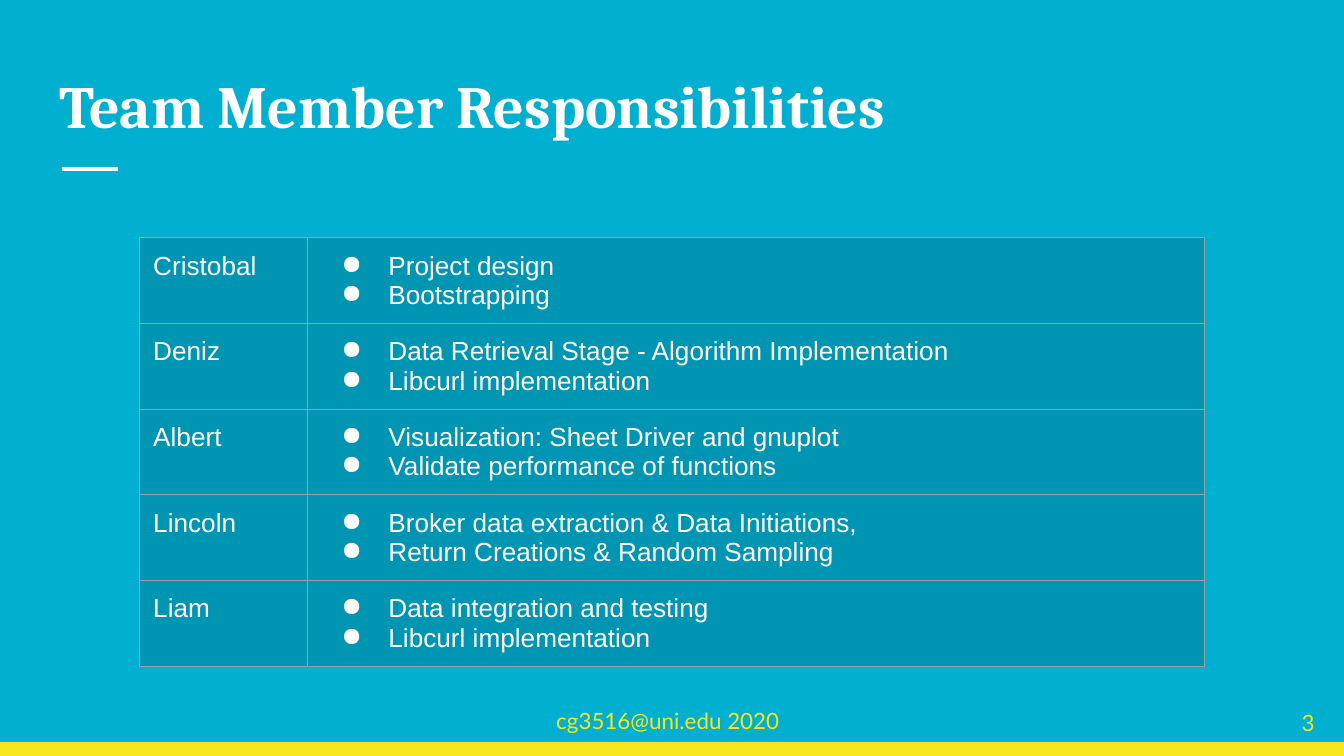
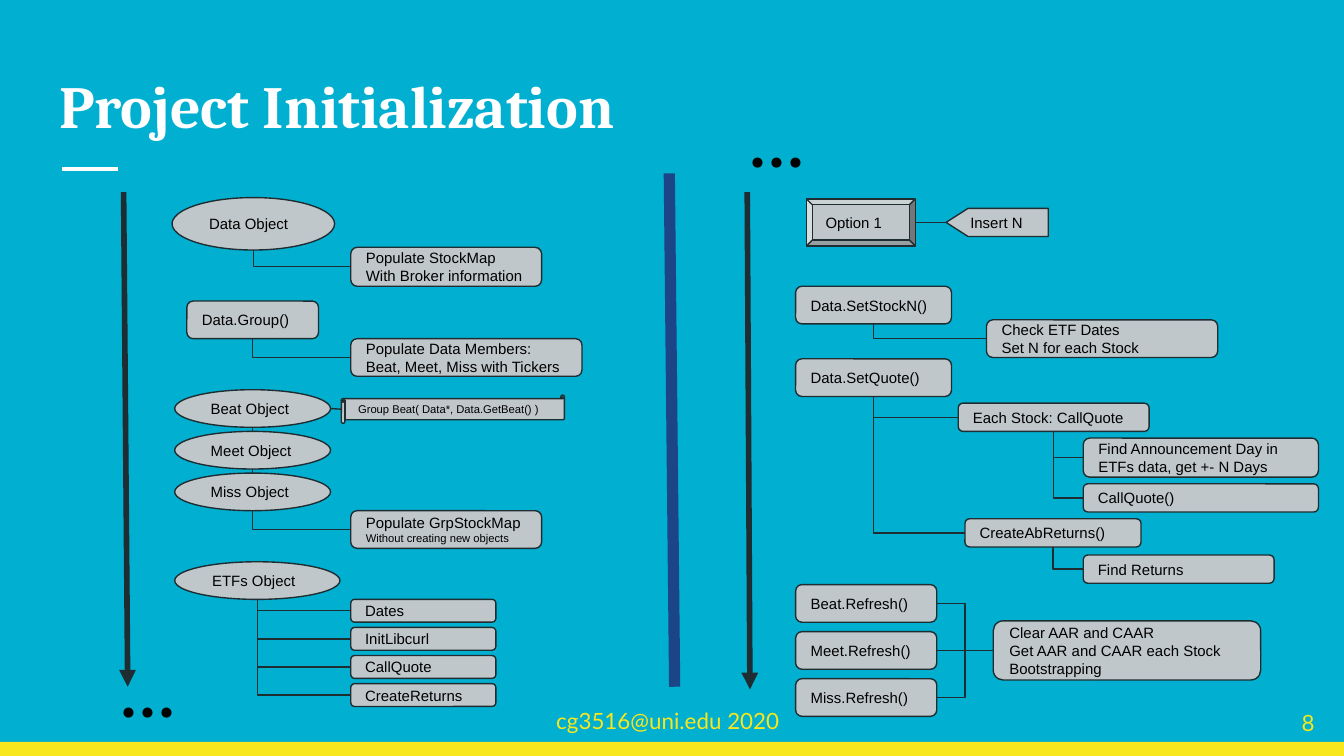
from lxml import etree
from pptx import Presentation
from pptx import util as u
from pptx.dml.color import RGBColor
from pptx.enum import shapes, text
from pptx.oxml.ns import qn

SKY, TEAL, YELLOW, WHITE, BLACK = "01AFD1", "0095B2", "F8E71C", "FFFFFF", "000000"
GREY, DARK, NAVY, BORDER = "BFC7CA", "1E2D31", "1C4587", "9E9E9E"
WIDTH, HEIGHT = u.Inches(10), u.Inches(5.625)
COLUMNS, ROWS = 100, 56.25
KIND = shapes.MSO_SHAPE
BOX, OVAL = KIND.ROUNDED_RECTANGLE, KIND.OVAL

TEAM = [
    ("Cristobal", ["Project design", "Bootstrapping"]),
    ("Deniz", ["Data Retrieval Stage - Algorithm Implementation", "Libcurl implementation"]),
    ("Albert", ["Visualization: Sheet Driver and gnuplot", "Validate performance of functions"]),
    ("Lincoln", ["Broker data extraction & Data Initiations,", "Return Creations & Random Sampling"]),
    ("Liam", ["Data integration and testing", "Libcurl implementation"]),
]


def col(n):
    return round(WIDTH * n / COLUMNS)


def row(n):
    return round(HEIGHT * n / ROWS)


def area(x, y, w, h):
    return col(x), row(y), col(w), row(h)


def rgb(value):
    return RGBColor.from_string(value)


def paint(fill, color):
    fill.solid()
    fill.fore_color.rgb = rgb(color)


def sub(parent, tag, **attrs):
    return etree.SubElement(parent, qn(tag), attrs)


def inset(box):
    box.margin_left = box.margin_right = box.margin_top = box.margin_bottom = col(1)


def write(tf, lines, font, sizes, color, bold=False, align=text.PP_ALIGN.LEFT):
    for i, line in enumerate(lines):
        p = tf.paragraphs[0] if i == 0 else tf.add_paragraph()
        p.alignment = align
        r = p.add_run()
        r.text = line
        r.font.name, r.font.bold = font, bold
        r.font.size = u.Pt(sizes[min(i, len(sizes) - 1)])
        r.font.color.rgb = rgb(color)


def frame(sp, anchor):
    tf = sp.text_frame
    tf.word_wrap = True
    tf.auto_size = text.MSO_AUTO_SIZE.NONE
    tf.vertical_anchor = anchor
    inset(tf)
    return tf


def label(s, at, words, size, color, anchor=text.MSO_ANCHOR.TOP, align=text.PP_ALIGN.LEFT):
    sp = s.shapes.add_textbox(*area(*at))
    write(frame(sp, anchor), [words], "Lato", [size], color, align=align)


def line(s, start, end, color=DARK, width=0.75, elbow=False, arrow=False):
    kind = shapes.MSO_CONNECTOR.ELBOW if elbow else shapes.MSO_CONNECTOR.STRAIGHT
    c = s.shapes.add_connector(kind, *start, *end)
    c.line.color.rgb = rgb(color)
    c.line.width = u.Pt(width)
    if arrow:
        sub(c.line._get_or_add_ln(), "a:tailEnd", type="triangle")
    sub(c._element.spPr, "a:effectLst")
    return c


def rule(s, x1, y1, x2, y2, **style):
    line(s, (col(x1), row(y1)), (col(x2), row(y2)), **style)


def node(s, kind, at, *lines, sizes=(8,)):
    sp = s.shapes.add_shape(kind, *area(*at))
    sp.shadow.inherit = False
    paint(sp.fill, GREY)
    sp.line.color.rgb = rgb(DARK)
    sp.line.width = u.Pt(0.75)
    write(frame(sp, text.MSO_ANCHOR.MIDDLE), lines, "Arial", sizes, BLACK)
    return sp


def middle(sp):
    return sp.left + sp.width // 2, sp.top + sp.height // 2


def bottom(sp):
    return middle(sp)[0], sp.top + sp.height


def left(sp):
    return sp.left, middle(sp)[1]


def right(sp):
    return sp.left + sp.width, middle(sp)[1]


def stack(s, kind, x, y, w, h, step, names):
    return [node(s, kind, (x, y + i * step, w, h), name) for i, name in enumerate(names)]


def branch(s, parent, *children):
    for child in children:
        (x1, y1), (x2, y2) = bottom(parent), left(child)
        c = line(s, (x1, y1), (x2, y2), elbow=True)
        dx, dy = x2 - x1, y2 - y1
        c.left, c.top = (x1 + x2 - dy) // 2, (y1 + y2 - dx) // 2
        c.width, c.height = dy, dx
        spPr = c._element.spPr
        spPr.find(qn("a:prstGeom")).set("prst", "bentConnector2")
        xfrm = spPr.find(qn("a:xfrm"))
        xfrm.set("rot", "16200000")
        xfrm.set("flipH", "1")


def new_slide(prs, heading, number):
    s = prs.slides.add_slide(prs.slide_layouts[5])
    band = s.shapes.add_shape(KIND.RECTANGLE, *area(0, 55.2, COLUMNS, ROWS - 55.2))
    band.shadow.inherit = False
    paint(band.fill, YELLOW)
    band.line.fill.background()
    rule(s, 4.6, 12.6, 8.8, 12.6, color=WHITE, width=2.25)
    label(s, (40.4, 51.6, 19.2, 3.2), "cg3516@uni.edu 2020", 12, YELLOW)
    label(s, (94.6, 51.6, 4.2, 4.3), number, 12, YELLOW,
          text.MSO_ANCHOR.MIDDLE, text.PP_ALIGN.RIGHT)
    title = s.shapes.title
    title.left, title.top, title.width, title.height = area(3.4, 4.1, 93.2, 7.1)
    write(frame(title, text.MSO_ANCHOR.TOP), [heading], "Cambria", [32], WHITE, bold=True)
    return s


def bullet(p):
    pPr = p._p.get_or_add_pPr()
    pPr.set("marL", str(col(5)))
    pPr.set("indent", str(-col(3.5)))
    sub(sub(pPr, "a:buClr"), "a:srgbClr", val=WHITE)
    sub(pPr, "a:buChar", char="●")


def fill_cell(cell, lines, bulleted):
    inset(cell)
    write(cell.text_frame, lines, "Arial", [14], WHITE)
    if bulleted:
        for p in cell.text_frame.paragraphs:
            bullet(p)
    tcPr = cell._tc.get_or_add_tcPr()
    for side in "LRTB":
        ln = sub(tcPr, f"a:ln{side}", w=str(u.Pt(0.75)))
        sub(sub(ln, "a:solidFill"), "a:srgbClr", val=BORDER)
    paint(cell.fill, TEAL)


def team_table(s):
    table = s.shapes.add_table(len(TEAM), 2, *area(10.4, 17.7, 79.2, 4.2 * len(TEAM))).table
    table.first_row = table.horz_banding = False
    for column, width in zip(table.columns, (12.5, 66.7)):
        column.width = col(width)
    for i, (member, duties) in enumerate(TEAM):
        fill_cell(table.cell(i, 0), [member], False)
        fill_cell(table.cell(i, 1), duties, True)


def data_flow(s):
    rule(s, 9.2, 14.3, 9.5, 51.1, width=3, arrow=True)
    data = node(s, OVAL, (12.8, 14.7, 12.1, 3.9), "Data Object")
    group = node(s, BOX, (13.9, 22.4, 9.8, 2.8), "Data.Group()")
    stock_map = node(s, BOX, (26.1, 18.4, 14.2, 2.9),
                     "Populate StockMap", "With Broker information")
    members = node(s, BOX, (26.1, 25.2, 17.2, 2.8),
                   "Populate Data Members:", "Beat, Meet, Miss with Tickers")
    beat, meet, miss = stack(s, OVAL, 13, 29, 11.6, 2.8, 3.1,
                             ["Beat Object", "Meet Object", "Miss Object"])
    scroll = node(s, KIND.HORIZONTAL_SCROLL, (25.4, 29.4, 16.6, 2.1),
                  "Group Beat( Data*, Data.GetBeat() )", sizes=(6,))
    group_map = node(s, BOX, (26.1, 38, 14.2, 2.8),
                     "Populate GrpStockMap", "Without creating new objects", sizes=(8, 6))
    etfs = node(s, OVAL, (13, 41.8, 12.3, 2.8), "ETFs Object")
    steps = stack(s, BOX, 26.1, 44.6, 10.8, 1.7, 2.09,
                  ["Dates", "InitLibcurl", "CallQuote", "CreateReturns"])
    for parent, child in ((data, stock_map), (group, members), (miss, group_map)):
        branch(s, parent, child)
    branch(s, etfs, *steps)
    for upper, lower in ((beat, meet), (meet, miss)):
        line(s, bottom(upper), (middle(lower)[0], lower.top))
    line(s, right(beat), left(scroll))
    label(s, (7.9, 46.4, 7.6, 7.5), "...", 43, BLACK)


def option_flow(s):
    rule(s, 55.6, 14.3, 55.8, 51.3, width=3, arrow=True)
    option = node(s, KIND.BEVEL, (60, 14.8, 8.1, 3.5), "Option 1")
    insert = node(s, KIND.PENTAGON, (70.4, 15.5, 7.6, 2.1), "Insert N")
    insert.adjustments[0] = 0.78
    insert._element.spPr.find(qn("a:xfrm")).set("flipH", "1")
    set_n, set_source = stack(s, BOX, 59.2, 21.3, 11.6, 2.8, 5.4,
                              ["Data.SetStockN()", "Data.SetQuote()"])
    dates = node(s, BOX, (73.4, 23.8, 17.2, 2.8), "Check ETF Dates", "Set N for each Stock")
    each = node(s, BOX, (71.3, 30, 14.2, 2.1), "Each Stock: CallQuote")
    find_day = node(s, BOX, (80.6, 32.6, 17.5, 2.9),
                    "Find Announcement Day in ETFs data, get +- N Days")
    call = node(s, BOX, (80.6, 36, 17.5, 2.1), "CallQuote()")
    create = node(s, BOX, (71.8, 38.6, 13.1, 2.1), "CreateAbReturns()")
    find_returns = node(s, BOX, (80.6, 41.3, 14.2, 2.1), "Find Returns")
    refreshes = stack(s, BOX, 59.2, 43.5, 10.5, 2.8, 3.5,
                      ["Beat.Refresh()", "Meet.Refresh()", "Miss.Refresh()"])
    clear = node(s, BOX, (73.9, 46.2, 19.9, 4.4),
                 "Clear AAR and CAAR", "Get AAR and CAAR each Stock", "Bootstrapping")
    line(s, right(option), left(insert))
    branch(s, set_n, dates)
    branch(s, set_source, each, create)
    branch(s, each, find_day, call)
    branch(s, create, find_returns)
    for refresh in refreshes:
        line(s, right(refresh), left(clear), elbow=True)
    label(s, (54.7, 5.5, 7.6, 7.5), "...", 43, BLACK)


def main():
    prs = Presentation()
    prs.slide_width, prs.slide_height = WIDTH, HEIGHT
    paint(prs.slide_master.background.fill, SKY)
    team_table(new_slide(prs, "Team Member Responsibilities", "3"))
    s = new_slide(prs, "Project Initialization", "8")
    data_flow(s)
    rule(s, 49.8, 12.9, 50.2, 51.1, color=NAVY, width=6)
    option_flow(s)
    prs.save("out.pptx")


if __name__ == "__main__":
    main()
